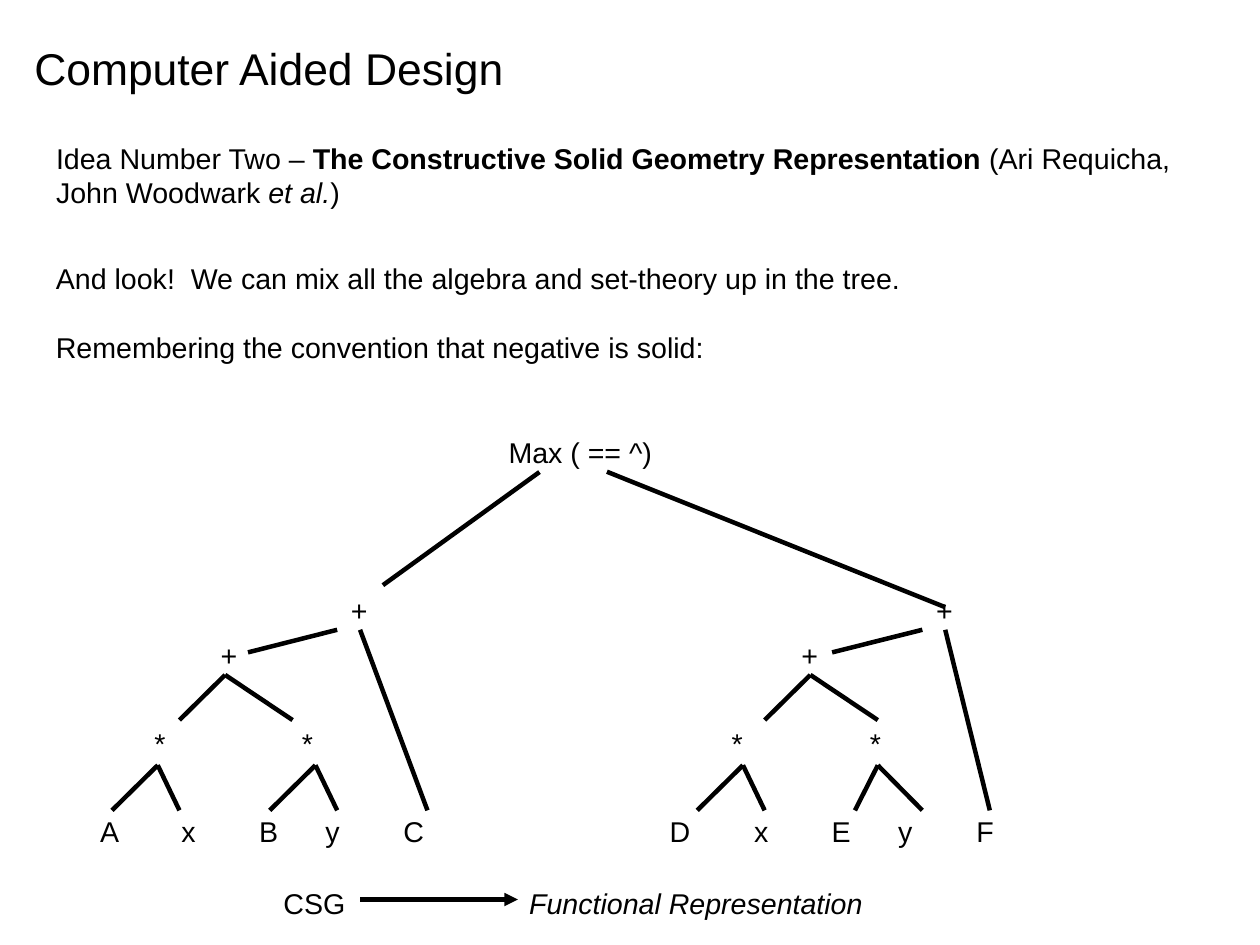
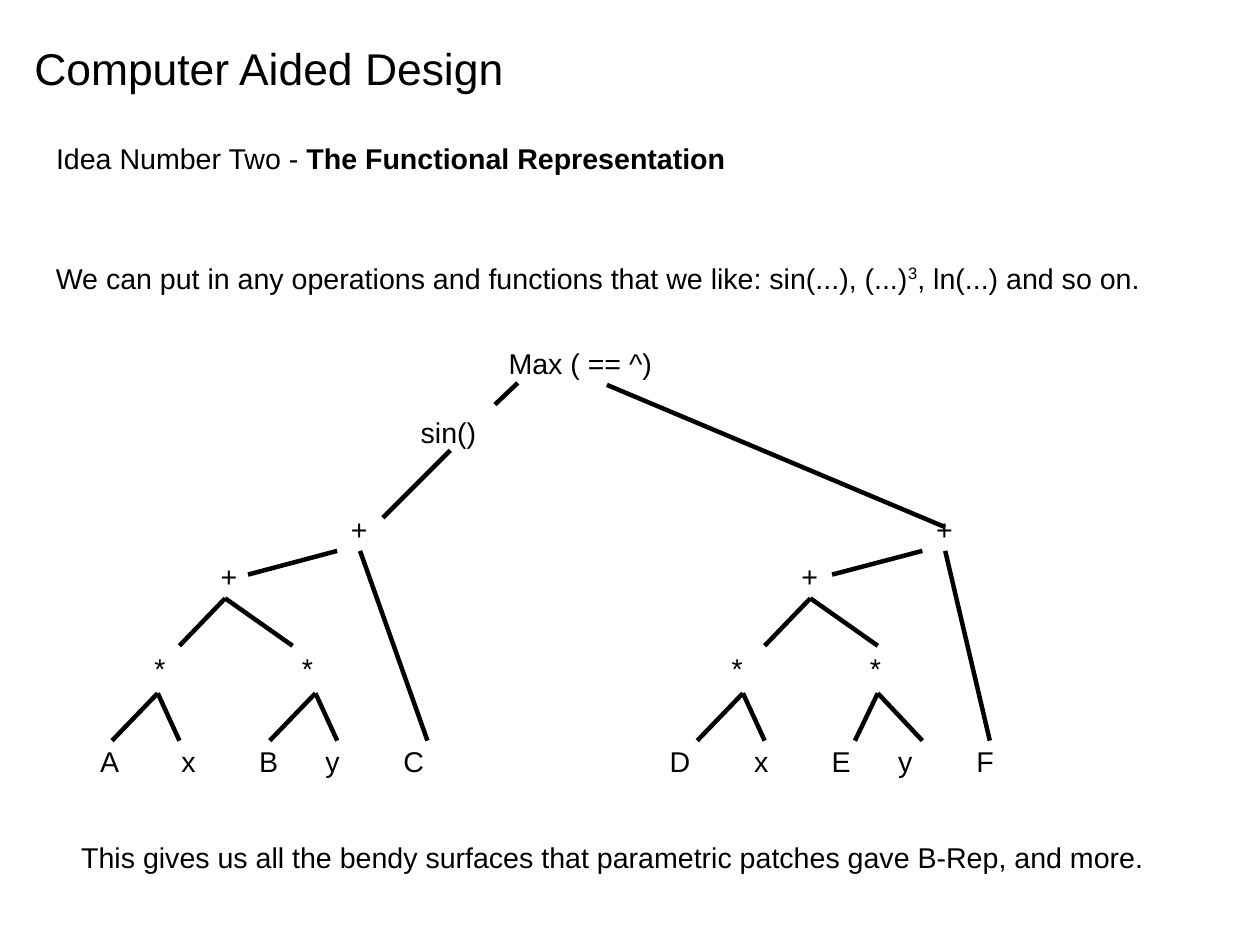
from typing import NamedTuple

from lxml import etree
from pptx import Presentation
from pptx import util as u
from pptx.dml import color
from pptx.enum import shapes, text
from pptx.oxml import ns

WIDTH, HEIGHT = 28 / 2.54, 21 / 2.54  # A 28 by 21 cm page
FONT = "Arial"
INK = "000000"
BACK = "FFFFFF"
TITLE = "Computer Aided Design"
LEAVES = ("A", "x", "B", "y", "C", "D", "x", "E", "y", "F")
LEAF_X = (0.96, 1.65, 2.35, 2.91, 3.62, 5.95, 6.66, 7.36, 7.92, 8.62)
STAR_X = (1.4, 2.69, 6.45, 7.66)
CELL = 0.5


class Box(NamedTuple):
    left: float
    top: float
    width: float
    height: float


class Bit(NamedTuple):
    """A run of text and its format."""
    words: str
    bold: bool = False
    slant: bool = False
    power: bool = False


class Fork(NamedTuple):
    """Two edges from a tip to children one level down."""
    tip: float
    level: int
    left: float
    right: float


class Edge(NamedTuple):
    """An edge whose ends are given as x and tree level."""
    x1: float
    level1: float
    x2: float
    level2: float


class Sign(NamedTuple):
    left: float
    level: float
    words: str = "+"
    width: float = 0.59


FORKS = (
    Fork(1.38, 3, 0.98, 1.57), Fork(2.76, 3, 2.36, 2.95), Fork(1.97, 1, 1.57, 2.56),
    Fork(6.5, 3, 6.1, 6.69), Fork(7.68, 3, 7.48, 8.07), Fork(7.09, 1, 6.69, 7.68),
)
EDGES = (
    Edge(2.17, 0.5, 2.95, 0), Edge(3.74, 4, 3.15, 0),
    Edge(7.28, 0.5, 8.07, 0), Edge(8.66, 4, 8.27, 0),
    Edge(8.27, -0.5, 5.31, -3.5),
)
SIGNS = (
    Sign(1.81, 0), Sign(6.89, 0), Sign(2.95, -1), Sign(8.07, -1),
    Sign(4.33, -4.5, "Max ( == ^)", 1.77),
)


def paint(code: str) -> color.RGBColor:
    return color.RGBColor.from_string(code)


def place(shape, box: Box) -> None:
    shape.left, shape.top, shape.width, shape.height = map(u.Inches, box)


def write(shape, *paras, size: float = 18, pad: float = 0.1, gap: float = 0,
          align=text.PP_ALIGN.LEFT) -> None:
    """Fill a shape; each paragraph is a string or a list of bits."""
    frame = shape.text_frame
    frame.word_wrap = True
    frame.auto_size = text.MSO_AUTO_SIZE.SHAPE_TO_FIT_TEXT
    frame.vertical_anchor = text.MSO_ANCHOR.TOP
    frame.margin_left = frame.margin_right = u.Inches(pad)
    frame.margin_top = frame.margin_bottom = u.Inches(pad - 0.05)
    for n, bits in enumerate(paras):
        para = frame.add_paragraph() if n else frame.paragraphs[0]
        props = para._p.get_or_add_pPr()
        props.set("marL", "0")
        props.set("indent", "0")
        etree.SubElement(props, ns.qn("a:buNone"))
        para.alignment = align
        para.space_before = u.Pt(gap if n else 0)
        for bit in [Bit(bits)] if isinstance(bits, str) else bits:
            run = para.add_run()
            run.text = bit.words
            run.font.name, run.font.size = FONT, u.Pt(size)
            run.font.bold, run.font.italic = bit.bold, bit.slant
            run.font.color.rgb = paint(INK)
            if bit.power:
                run._r.get_or_add_rPr().set("baseline", "33000")


def label(slide, box: Box, *paras, **style) -> None:
    shape = slide.shapes.add_textbox(0, 0, 0, 0)
    place(shape, box)
    write(shape, *paras, **style)


def spread(slide, top: float, words: tuple, spots: tuple) -> None:
    """Centre each word on its x."""
    for word, x in zip(words, spots):
        label(slide, Box(x - CELL / 2, top, CELL, 0.41), word, align=text.PP_ALIGN.CENTER)


def join(slide, x1: float, y1: float, x2: float, y2: float, arrow: bool = False) -> None:
    line = slide.shapes.add_connector(
        shapes.MSO_CONNECTOR.STRAIGHT, *map(u.Inches, (x1, y1, x2, y2)))
    line.line.color.rgb = paint(INK)
    line.line.width = u.Pt(2.83)
    if arrow:
        etree.SubElement(line.line._get_or_add_ln(), ns.qn("a:tailEnd"), type="triangle")
    etree.SubElement(line._element.spPr, ns.qn("a:effectLst"))


def tree(slide, top: float, foot: float) -> None:
    """Draw the shared tree; level 0 is at top and level 4 at foot."""
    def at(level: float) -> float:
        return top + (foot - top) * level / 4

    spread(slide, foot - 0.02, LEAVES, LEAF_X)
    spread(slide, at(2), ("*",) * len(STAR_X), STAR_X)
    for fork in FORKS:
        for end in (fork.left, fork.right):
            join(slide, end, at(fork.level + 1), fork.tip, at(fork.level))
    for edge in EDGES:
        join(slide, edge.x1, at(edge.level1), edge.x2, at(edge.level2))
    for sign in SIGNS:
        label(slide, Box(sign.left, at(sign.level), sign.width, 0.45), sign.words, pad=0.12)


def start(deck, idea: list, height: float):
    """Add a slide with the shared title and its idea line."""
    slide = deck.slides.add_slide(deck.slide_layouts[1])
    slide.background.fill.solid()
    slide.background.fill.fore_color.rgb = paint(BACK)
    title, body = slide.shapes.title, slide.placeholders[1]
    place(title, Box(0.2, 0.31, 10.63, 0.58))
    write(title, TITLE, size=28)
    place(body, Box(0.39, 1.18, 10.04, height))
    write(body, idea)
    return slide


def solid(deck) -> None:
    slide = start(deck, [
        Bit("Idea Number Two – "),
        Bit("The Constructive Solid Geometry Representation", bold=True),
        Bit(" (Ari Requicha, John Woodwark "), Bit("et al.", slant=True), Bit(")"),
    ], 0.74)
    label(slide, Box(0.39, 2.23, 9.65, 1.03),
          "And look!  We can mix all the algebra and set-theory up in the tree.",
          "Remembering the convention that negative is solid:", gap=22)
    tree(slide, 5.51, 7.09)
    join(slide, 3.35, 5.12, 4.72, 4.13)
    label(slide, Box(2.36, 7.68, 0.9, 0.45), "CSG", pad=0.12)
    label(slide, Box(4.51, 7.68, 3.5, 0.45),
          [Bit("Functional Representation", slant=True)], pad=0.12)
    join(slide, 3.15, 7.87, 4.53, 7.87, arrow=True)


def bendy(deck) -> None:
    slide = start(deck, [
        Bit("Idea Number Two - "), Bit("The Functional Representation", bold=True),
    ], 0.42)
    label(slide, Box(0.39, 2.23, 10.04, 0.41), [
        Bit("We can put in any operations and functions that we like: sin(...), (...)"),
        Bit("3", power=True), Bit(", ln(...) and so on."),
    ])
    tree(slide, 4.82, 6.48)
    label(slide, Box(0.59, 7.28, 9.65, 0.45),
          "This gives us all the bendy surfaces that parametric patches gave B-Rep, and more.",
          pad=0.12)
    join(slide, 3.35, 4.53, 3.94, 3.94)
    label(slide, Box(3.54, 3.54, 1.38, 0.49), "sin()", pad=0.14)
    join(slide, 4.33, 3.54, 4.53, 3.35)


def main() -> None:
    deck = Presentation()
    deck.slide_width, deck.slide_height = u.Inches(WIDTH), u.Inches(HEIGHT)
    solid(deck)
    bendy(deck)
    deck.save("out.pptx")


if __name__ == "__main__":
    main()
